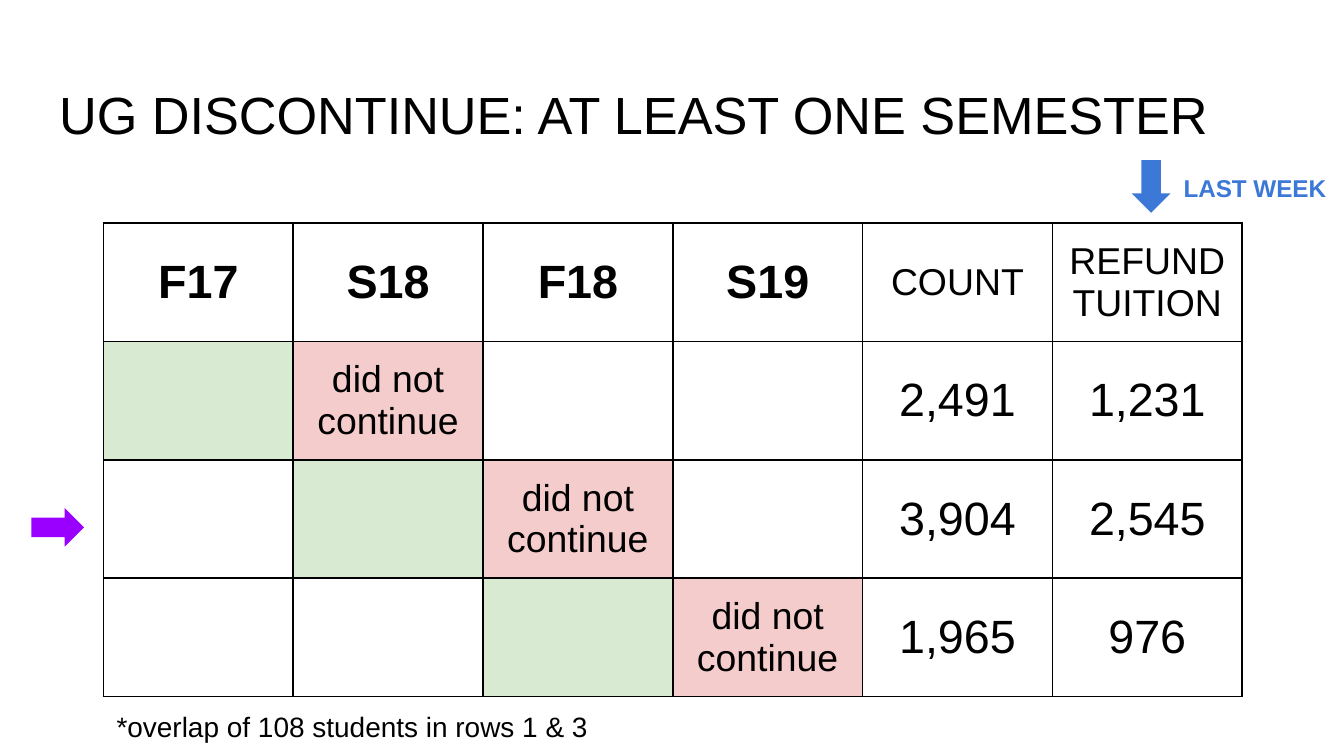
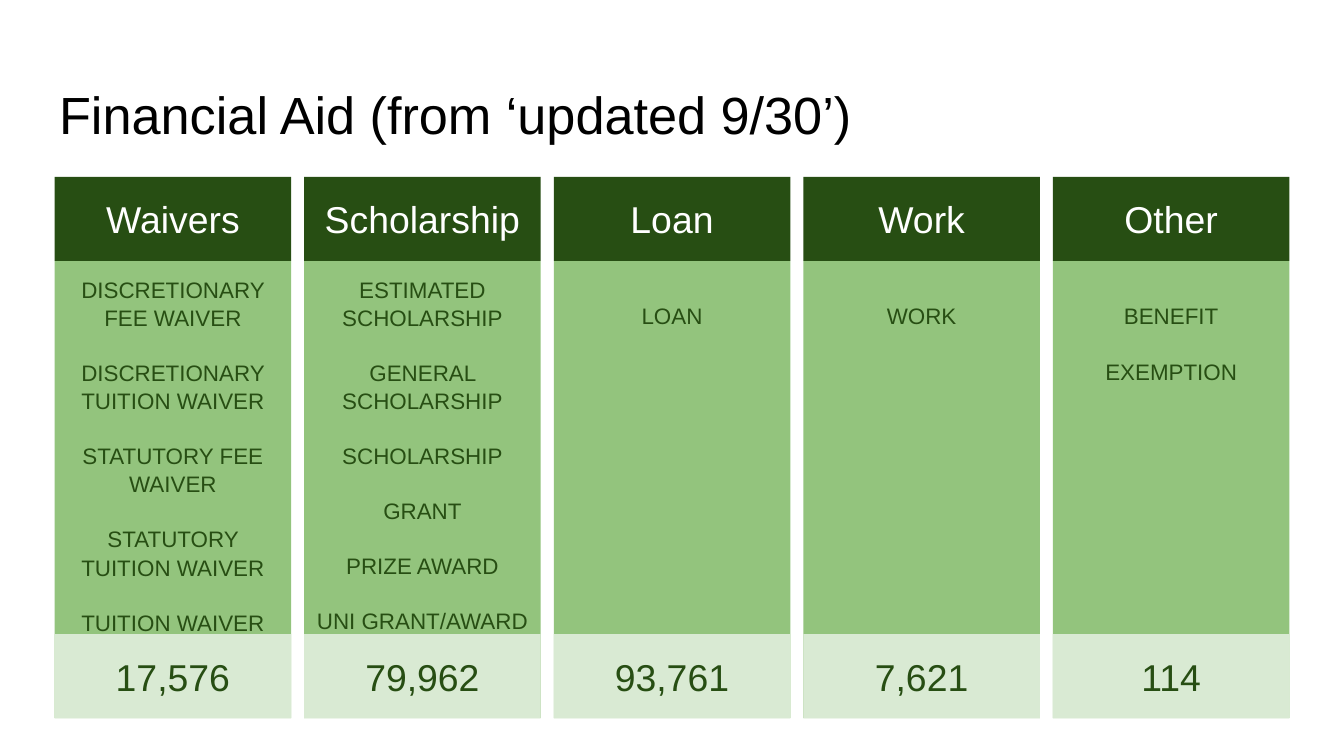
import pptx
import pptx.dml.color
import pptx.enum.shapes
import pptx.enum.text
import pptx.oxml
import pptx.oxml.ns
import pptx.util

Pt = pptx.util.Pt
ALIGN = pptx.enum.text.PP_ALIGN
ANCHOR = pptx.enum.text.MSO_ANCHOR
SHAPE = pptx.enum.shapes.MSO_SHAPE

FONT = "Arial"
COLORS = {
    "black": "000000",
    "white": "FFFFFF",
    "dark green": "274E13",
    "green": "93C47D",
    "pale green": "D9EAD3",
    "pink": "F4CCCC",
    "blue": "3C78D8",
    "purple": "9900FF",
}
TITLE_ONLY_LAYOUT = 5
INSET = 7.2
LINE_SPACING = 1.05

TERMS = ["F17", "S18", "F18", "S19"]
MEASURES = ["COUNT", "REFUND TUITION"]
DISCONTINUED = [("2,491", "1,231"), ("3,904", "2,545"), ("1,965", "976")]
TABLE_LEFT, TABLE_TOP = 55.4, 119.6
CELL_WIDTH, CELL_HEIGHT = 101.7, 63.4

AID = [
    ("Waivers", ["DISCRETIONARY FEE WAIVER", "DISCRETIONARY TUITION WAIVER",
                 "STATUTORY FEE WAIVER", "STATUTORY TUITION WAIVER",
                 "TUITION WAIVER"], "17,576"),
    ("Scholarship", ["ESTIMATED SCHOLARSHIP", "GENERAL SCHOLARSHIP",
                     "SCHOLARSHIP", "GRANT", "PRIZE AWARD",
                     "UNI GRANT/AWARD"], "79,962"),
    ("Loan", ["LOAN"], "93,761"),
    ("Work", ["WORK"], "7,621"),
    ("Other", ["BENEFIT", "EXEMPTION"], "114"),
]
AID_LEFT, AID_TOP, AID_BOTTOM = 29.3, 94.8, 384.8
AID_WIDTH, AID_PITCH = 126.7, 133.7
BAND_HEIGHT = 45
ITEM_GAP = 14.4


def rgb(name):
    return pptx.dml.color.RGBColor.from_string(COLORS[name])


def set_attributes(target, values):
    for name, value in values.items():
        setattr(target, name, value)


def write(frame, lines, size, color="black", bold=False, align=ALIGN.CENTER,
          spacing=None, gap=0):
    """Write one paragraph per line, with a gap before all but the first."""
    for index, line in enumerate(lines):
        paragraph = frame.add_paragraph() if index else frame.paragraphs[0]
        set_attributes(paragraph, {
            "alignment": align,
            "line_spacing": spacing,
            "space_before": Pt(gap if index else 0),
        })
        run = paragraph.add_run()
        run.text = line
        set_attributes(run.font, {"name": FONT, "size": Pt(size), "bold": bold})
        run.font.color.rgb = rgb(color)


def format_frame(frame, anchor=ANCHOR.TOP, side=INSET, top=INSET):
    set_attributes(frame, {
        "word_wrap": True,
        "auto_size": pptx.enum.text.MSO_AUTO_SIZE.NONE,
        "vertical_anchor": anchor,
        "margin_left": Pt(side),
        "margin_right": Pt(side),
        "margin_top": Pt(top),
        "margin_bottom": Pt(INSET),
    })


def add_titled_slide(presentation, text):
    layout = presentation.slide_layouts[TITLE_ONLY_LAYOUT]
    slide = presentation.slides.add_slide(layout)
    title = slide.shapes.title
    set_attributes(title, {"left": Pt(24.5), "top": Pt(35.3),
                           "width": Pt(671), "height": Pt(45.4)})
    format_frame(title.text_frame)
    write(title.text_frame, [text], 28, align=ALIGN.LEFT, spacing=LINE_SPACING)
    return slide


def add_filled_shape(slide, kind, left, top, width, height, color):
    shape = slide.shapes.add_shape(kind, Pt(left), Pt(top), Pt(width), Pt(height))
    shape.shadow.inherit = False
    shape.fill.solid()
    shape.fill.fore_color.rgb = rgb(color)
    shape.line.fill.background()
    return shape


def add_arrow(slide, left, top, color, rotation=0):
    arrow = add_filled_shape(slide, SHAPE.DOWN_ARROW, left, top, 20.8, 28.2, color)
    arrow.rotation = rotation


def add_label(slide, left, top, width, height, text, size, **style):
    box = slide.shapes.add_textbox(Pt(left), Pt(top), Pt(width), Pt(height))
    format_frame(box.text_frame)
    write(box.text_frame, [text], size, align=ALIGN.LEFT, **style)


def add_band(slide, left, top, text, fill, color):
    band = add_filled_shape(slide, SHAPE.RECTANGLE, left, top, AID_WIDTH,
                            BAND_HEIGHT, fill)
    format_frame(band.text_frame, ANCHOR.MIDDLE, side=3.6)
    write(band.text_frame, [text], 20, color)


def add_borders(cell):
    properties = cell._tc.get_or_add_tcPr()
    namespace = pptx.oxml.ns.nsdecls("a")
    for index, side in enumerate(("lnL", "lnR", "lnT", "lnB")):
        properties.insert(index, pptx.oxml.parse_xml(
            f'<a:{side} {namespace} w="{Pt(1)}"><a:solidFill>'
            f'<a:srgbClr val="{COLORS["black"]}"/></a:solidFill></a:{side}>'))


def format_cell(cell, text="", size=25, bold=False, fill=None):
    margins = ("margin_left", "margin_right", "margin_top", "margin_bottom")
    set_attributes(cell, dict.fromkeys(margins, Pt(5)))
    cell.vertical_anchor = ANCHOR.MIDDLE
    if fill:
        cell.fill.solid()
        cell.fill.fore_color.rgb = rgb(fill)
    else:
        cell.fill.background()
    add_borders(cell)
    if text:
        write(cell.text_frame, [text], size, bold=bold)


def discontinue_rows():
    """Return the cell formats, row by row; each cohort leaves one term later."""
    rows = [[{"text": term, "bold": True} for term in TERMS]
            + [{"text": measure, "size": 20} for measure in MEASURES]]
    for start, values in enumerate(DISCONTINUED):
        cells = [{} for _ in TERMS]
        cells[start] = {"fill": "pale green"}
        cells[start + 1] = {"text": "did not continue", "size": 20, "fill": "pink"}
        rows.append(cells + [{"text": value} for value in values])
    return rows


def add_discontinue_table(slide):
    rows = discontinue_rows()
    row_count, column_count = len(rows), len(rows[0])
    table = slide.shapes.add_table(
        row_count, column_count, Pt(TABLE_LEFT), Pt(TABLE_TOP),
        Pt(CELL_WIDTH * column_count), Pt(CELL_HEIGHT * row_count)).table
    set_attributes(table, {"first_row": False, "horz_banding": False})
    for column in table.columns:
        column.width = Pt(CELL_WIDTH)
    for row_index, row in enumerate(rows):
        table.rows[row_index].height = Pt(CELL_HEIGHT)
        for column_index, cell_format in enumerate(row):
            format_cell(table.cell(row_index, column_index), **cell_format)


def add_aid_column(slide, left, heading, items, total):
    panel_top = AID_TOP + BAND_HEIGHT
    panel = add_filled_shape(slide, SHAPE.RECTANGLE, left, panel_top, AID_WIDTH,
                             AID_BOTTOM - panel_top, "green")
    # Short lists start one line lower.
    top = INSET + ITEM_GAP if len(items) < 3 else INSET
    format_frame(panel.text_frame, side=3.6, top=top)
    write(panel.text_frame, items, 12, "dark green", spacing=LINE_SPACING,
          gap=ITEM_GAP)
    add_band(slide, left, AID_TOP, heading, "dark green", "white")
    add_band(slide, left, AID_BOTTOM - BAND_HEIGHT, total, "pale green",
             "dark green")


def build_discontinue_slide(presentation):
    slide = add_titled_slide(presentation, "UG DISCONTINUE: AT LEAST ONE SEMESTER")
    add_discontinue_table(slide)
    add_arrow(slide, 606.3, 85.8, "blue")
    add_label(slide, 627, 85.8, 116, 54, "LAST WEEK", 13, color="blue", bold=True)
    add_label(slide, 55.4, 373, 280, 35,
              "*overlap of 108 students in rows 1 & 3", 15)
    add_arrow(slide, 20.5, 268.4, "purple", rotation=270)


def build_aid_slide(presentation):
    slide = add_titled_slide(presentation, "Financial Aid (from ‘updated 9/30’)")
    for index, (heading, items, total) in enumerate(AID):
        add_aid_column(slide, AID_LEFT + index * AID_PITCH, heading, items, total)


def main():
    presentation = pptx.Presentation()
    set_attributes(presentation, {"slide_width": Pt(720), "slide_height": Pt(405)})
    build_discontinue_slide(presentation)
    build_aid_slide(presentation)
    presentation.save("out.pptx")


if __name__ == "__main__":
    main()
